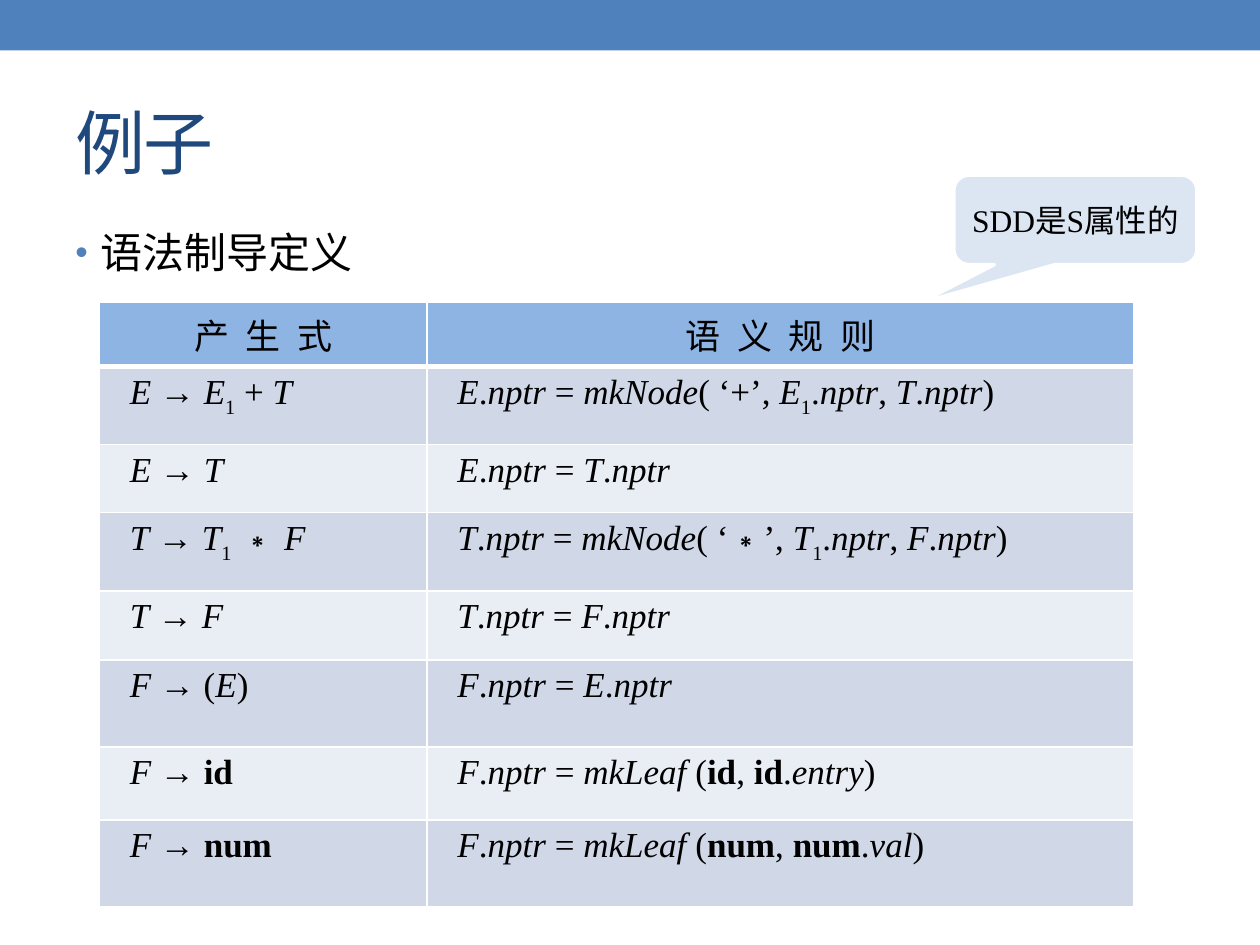
from itertools import groupby

from lxml.etree import SubElement
from pptx import Presentation
from pptx.dml.color import RGBColor
from pptx.enum.shapes import MSO_SHAPE
from pptx.enum.text import MSO_ANCHOR, PP_ALIGN
from pptx.oxml.ns import qn
from pptx.util import Inches, Pt

BLACK = RGBColor(0x00, 0x00, 0x00)
WHITE = RGBColor(0xFF, 0xFF, 0xFF)
BLUE = RGBColor(0x4F, 0x81, 0xBD)
NAVY = RGBColor(0x1F, 0x49, 0x7D)
PALE_BLUE = RGBColor(0xDC, 0xE6, 0xF2)
HEADER_FILL = RGBColor(0x8E, 0xB4, 0xE3)
BANDS = (RGBColor(0xD0, 0xD8, 0xE8), RGBColor(0xE9, 0xED, 0xF4))

TOKENS = ("id", "num")
HEADERS = ("产 生 式", "语 义 规 则")
RULES = (
    ("E → E1 + T", "E.nptr = mkNode( ‘+’, E1.nptr, T.nptr)"),
    ("E → T", "E.nptr = T.nptr"),
    ("T → T1 ∗ F", "T.nptr = mkNode( ‘∗’, T1.nptr, F.nptr)"),
    ("T → F", "T.nptr = F.nptr"),
    ("F → (E)", "F.nptr = E.nptr"),
    ("F → id", "F.nptr = mkLeaf (id, id.entry)"),
    ("F → num", "F.nptr = mkLeaf (num, num.val)"),
)
COL_WIDTHS = (2.6, 5.61)
ROW_HEIGHTS = (0.51, 0.62, 0.54, 0.62, 0.55, 0.69, 0.58, 0.69)


def add_text(p, text, size=20, color=BLACK, font="Times New Roman",
             bold=False, italic=False, spacing=None, baseline=None):
    r = p.add_run()
    r.text = text
    f = r.font
    f.name, f.size, f.bold, f.italic = font, Pt(size), bold, italic
    f.color.rgb = color
    for key, value in (("spc", spacing), ("baseline", baseline)):
        if value is not None:
            r._r.get_or_add_rPr().set(key, str(value))
    return r


def add_formula(p, text):
    """Symbols are italic, tokens bold and digits subscript."""
    def kind(ch):
        return "name" if ch.isalpha() else "index" if ch.isdigit() else "mark"

    for k, chars in groupby(text, kind):
        part = "".join(chars)
        add_text(p, part, bold=part in TOKENS,
                 italic=k == "name" and part not in TOKENS,
                 baseline=-30000 if k == "index" else None)


class SlideBuilder:
    def __init__(self, prs):
        self.s = prs.slides.add_slide(prs.slide_layouts[5])

    def shape(self, kind, box, fill, line=None):
        sp = self.s.shapes.add_shape(kind, *map(Inches, box))
        sp.shadow.inherit = False
        sp.fill.solid()
        sp.fill.fore_color.rgb = fill
        if line is None:
            sp.line.fill.background()
        else:
            sp.line.color.rgb = line
            sp.line.width = Pt(2)
        return sp

    def title(self, text, box):
        sp = self.s.shapes.title
        sp.left, sp.top, sp.width, sp.height = map(Inches, box)
        tf = sp.text_frame
        tf.vertical_anchor = MSO_ANCHOR.MIDDLE
        p = tf.paragraphs[0]
        p.alignment = PP_ALIGN.LEFT
        add_text(p, text, size=40, color=NAVY, spacing=-100)

    def bullet(self, text, box):
        tf = self.s.shapes.add_textbox(*map(Inches, box)).text_frame
        tf.word_wrap = True
        p = tf.paragraphs[0]
        pPr = p._p.get_or_add_pPr()
        pPr.set("marL", str(Inches(0.2)))
        pPr.set("indent", str(-Inches(0.2)))
        clr = SubElement(pPr, qn("a:buClr"))
        SubElement(clr, qn("a:srgbClr"), val=str(BLUE))
        SubElement(pPr, qn("a:buSzPct"), val="85000")
        SubElement(pPr, qn("a:buFont"), typeface="Arial")
        SubElement(pPr, qn("a:buChar"), char="•")
        add_text(p, text, size=24)

    def callout(self, text, box, adjustments):
        sp = self.shape(MSO_SHAPE.ROUNDED_RECTANGULAR_CALLOUT, box,
                        PALE_BLUE, WHITE)
        for i, value in enumerate(adjustments):
            sp.adjustments[i] = value
        tf = sp.text_frame
        tf.word_wrap = True
        tf.vertical_anchor = MSO_ANCHOR.MIDDLE
        p = tf.paragraphs[0]
        p.alignment = PP_ALIGN.CENTER
        add_text(p, text, size=18)

    def cell(self, cell, fill, top=1, bottom=1):
        tcPr = cell._tc.get_or_add_tcPr()
        for side, width in (("L", 1), ("R", 1), ("T", top), ("B", bottom)):
            ln = SubElement(tcPr, qn(f"a:ln{side}"), w=str(Pt(width)))
            solid = SubElement(ln, qn("a:solidFill"))
            SubElement(solid, qn("a:srgbClr"), val=str(WHITE))
        cell.fill.solid()
        cell.fill.fore_color.rgb = fill
        return cell.text_frame.paragraphs[0]

    def rule_table(self, left, top):
        box = (left, top, sum(COL_WIDTHS), sum(ROW_HEIGHTS))
        table = self.s.shapes.add_table(
            len(ROW_HEIGHTS), len(COL_WIDTHS), *map(Inches, box)).table
        for col, width in zip(table.columns, COL_WIDTHS):
            col.width = Inches(width)
        for row, height in zip(table.rows, ROW_HEIGHTS):
            row.height = Inches(height)
        # Header row
        for c, text in enumerate(HEADERS):
            p = self.cell(table.cell(0, c), HEADER_FILL, bottom=3)
            p.alignment = PP_ALIGN.CENTER
            add_text(p, text, spacing=250)
        # Banded rule rows
        for i, rule in enumerate(RULES):
            for c, text in enumerate(rule):
                cell = table.cell(i + 1, c)
                cell.margin_left = Inches(0.24)
                p = self.cell(cell, BANDS[i % 2], top=1 if i else 3)
                add_formula(p, text)


def main():
    prs = Presentation()
    prs.slide_width, prs.slide_height = Inches(10), Inches(7.5)
    b = SlideBuilder(prs)
    # Top bar and heading
    b.shape(MSO_SHAPE.RECTANGLE, (0, 0, 10, 0.4), BLUE)
    b.title("例子", (0.5, 0.58, 9, 1.08))
    # Body
    b.bullet("语法制导定义", (0.5, 1.75, 7, 0.6))
    b.callout("SDD是S属性的", (7.57, 1.39, 1.93, 0.71), (-0.64, 0.93, 0.17))
    b.rule_table(0.79, 2.4)
    prs.save("out.pptx")


if __name__ == "__main__":
    main()
